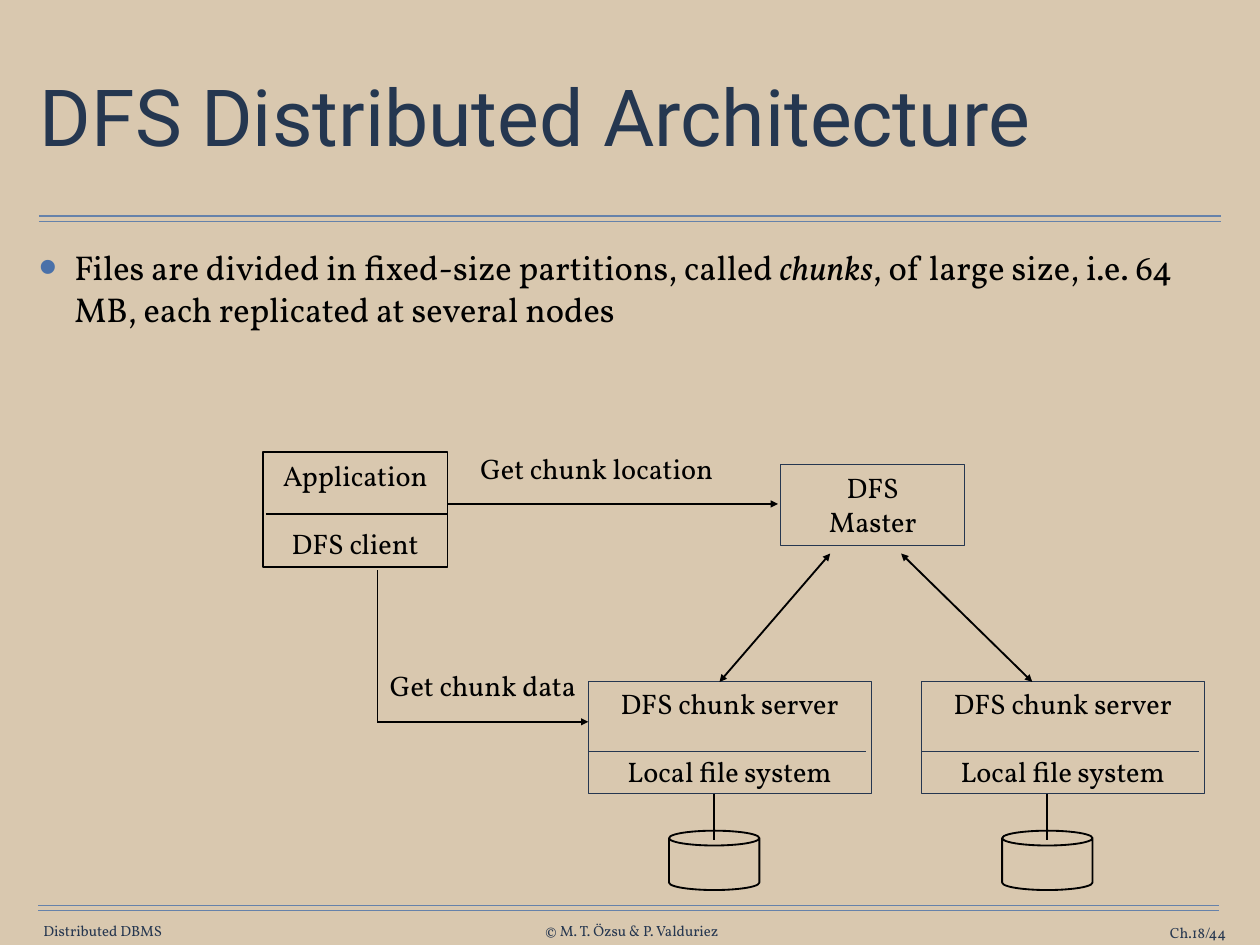
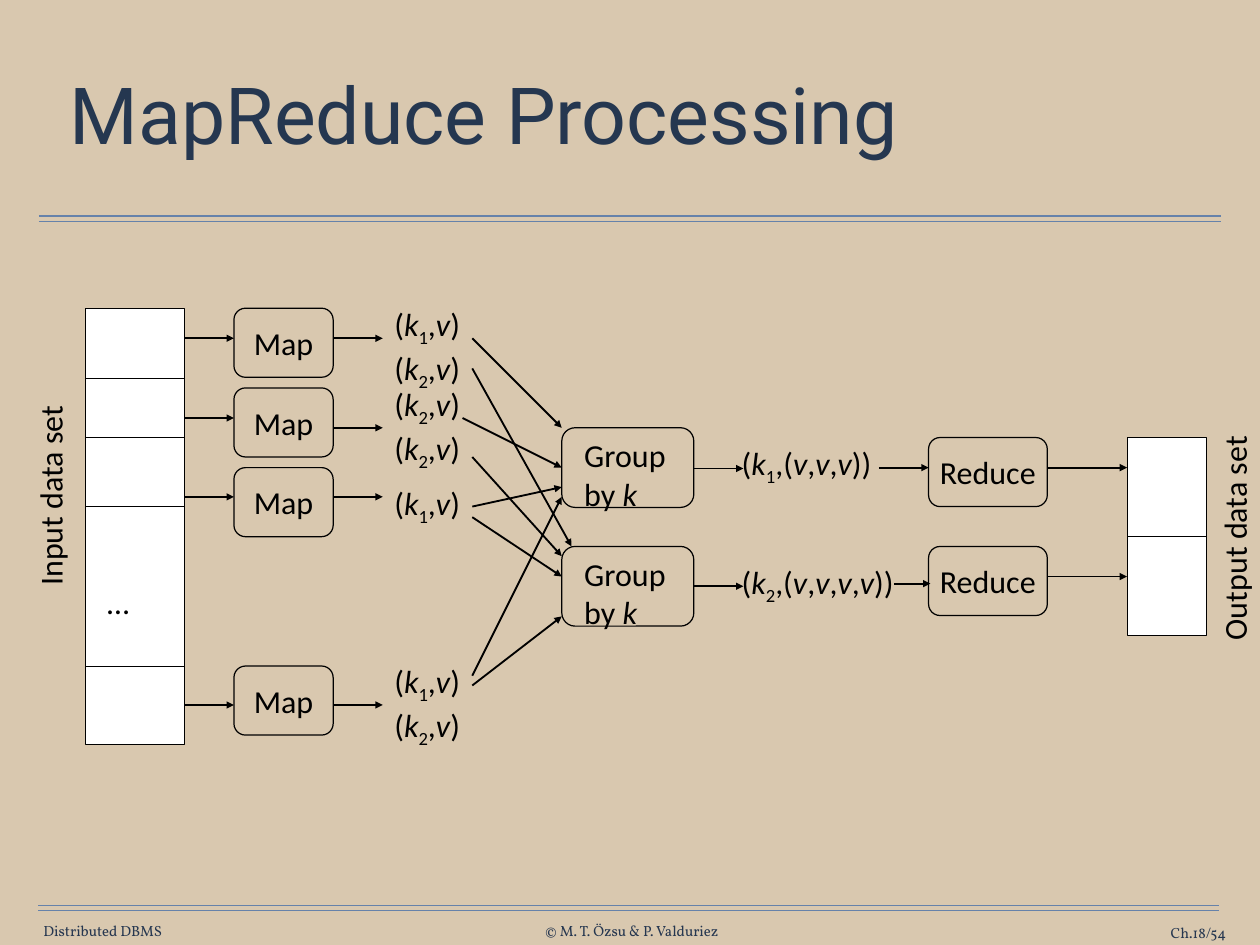
from lxml import etree
from pptx import Presentation
from pptx.dml.color import RGBColor
from pptx.enum.shapes import MSO_CONNECTOR, MSO_SHAPE as SHAPE
from pptx.enum.text import MSO_ANCHOR as ANCHOR, MSO_AUTO_SIZE, PP_ALIGN as ALIGN
from pptx.oxml.ns import qn
from pptx.util import Inches, Pt

COLORS = {"sand": "D9C8AF", "navy": "263750", "title": "253750", "rule": "6682AA",
          "bullet": "4A71A9", "black": "000000", "white": "FFFFFF"}
HEADING, SERIF, SANS = "Roboto", "Vollkorn", "Calibri"
TITLE_LAYOUTS = {"list": 1, "title only": 5}
WIDE, NORMAL, TIGHT, NONE = (0.14, 0.07), (0.1, 0.05), (0.06, 0.06), (0, 0)


def color(name):
    return RGBColor.from_string(COLORS[name])


def place(shape, left, top, width, height):
    shape.left, shape.top = Inches(left), Inches(top)
    shape.width, shape.height = Inches(width), Inches(height)


class Deck:
    def __init__(self):
        self.file = Presentation()
        self.file.slide_width, self.file.slide_height = Inches(14.22), Inches(10.67)
        background = self.file.slide_master.background.fill
        background.solid()
        background.fore_color.rgb = color("sand")
        self.slide = None
        self.font, self.size = SERIF, 23

    def start(self, layout, title, box, page, font, size):
        """Add a slide with its title, double rules and footer; set its text style."""
        layouts = self.file.slide_layouts
        self.slide = self.file.slides.add_slide(layouts[TITLE_LAYOUTS[layout]])
        self.font, self.size = font, size
        for left, right, top in ((0.44, 13.78, 2.44), (0.43, 13.76, 10.22)):
            for y in (top, top + 0.06):
                self.line((left, y), (right, y), "rule", 1)
        footer = dict(font=SERIF, size=12, ink="navy", anchor=ANCHOR.MIDDLE, inset=NONE)
        self.text((0.47, 10.41, 1.38, 0.2), "Distributed DBMS", align=ALIGN.CENTER, **footer)
        self.text((6.09, 10.41, 2.08, 0.2), "© M. T. Özsu & P. Valduriez",
                  align=ALIGN.CENTER, **footer)
        self.text((12.31, 10.43, 1.53, 0.2), f"Ch.18/{page}", align=ALIGN.RIGHT, **footer)
        heading = self.slide.shapes.title
        place(heading, *box)
        self.set_lines(heading, title, font=HEADING, size=64, ink="title",
                       anchor=ANCHOR.MIDDLE, inset=TIGHT, spacing=0.9, wrap=True)

    def set_lines(self, shape, text, font=None, size=None, ink="black", align=ALIGN.LEFT,
                  anchor=ANCHOR.TOP, inset=NORMAL, gap=0, spacing=1.0, wrap=False):
        """Fill a shape with lines of text, where *x* is italic and ~x~ is a subscript."""
        frame = shape.text_frame
        frame.word_wrap, frame.auto_size = wrap, MSO_AUTO_SIZE.NONE
        frame.vertical_anchor = anchor
        frame.margin_left = frame.margin_right = Inches(inset[0])
        frame.margin_top = frame.margin_bottom = Inches(inset[1])
        for index, line in enumerate(text.split("\n")):
            paragraph = frame.add_paragraph() if index else frame.paragraphs[0]
            paragraph.alignment, paragraph.line_spacing = align, spacing
            paragraph.space_before = Pt(gap if index else 0)
            for i, part in enumerate(line.split("*")):
                for j, piece in enumerate(part.split("~")):
                    if not piece:
                        continue
                    run = paragraph.add_run()
                    run.text = piece
                    run.font.name, run.font.size = font or self.font, Pt(size or self.size)
                    run.font.color.rgb = color(ink)
                    if i % 2:
                        run.font.italic = True
                    if j % 2:
                        run.font._element.set("baseline", "-25000")

    def text(self, box, text, turn=0, **style):
        label = self.slide.shapes.add_textbox(*map(Inches, box))
        label.rotation = turn
        self.set_lines(label, text, **{"inset": WIDE, **style})

    def bullet(self, box, text):
        body = self.slide.placeholders[1]
        place(body, *box)
        self.set_lines(body, text, size=28, inset=TIGHT, wrap=True)
        paragraph = body.text_frame.paragraphs[0]
        paragraph.space_before = Pt(12)
        props = paragraph._p.get_or_add_pPr()
        props.set("marL", str(Inches(0.4)))
        props.set("indent", str(Inches(-0.4)))
        tint = etree.SubElement(props, qn("a:buClr"))
        etree.SubElement(tint, qn("a:srgbClr"), val=COLORS["bullet"])
        etree.SubElement(props, qn("a:buSzPct"), val="150000")
        etree.SubElement(props, qn("a:buFont"), typeface="Arial")
        etree.SubElement(props, qn("a:buChar"), char="•")

    def box(self, kind, box, text="", fill=None, outline="black", width=1, **style):
        shape = self.slide.shapes.add_shape(kind, *map(Inches, box))
        shape.shadow.inherit = False
        if fill:
            shape.fill.solid()
            shape.fill.fore_color.rgb = color(fill)
        else:
            shape.fill.background()
        shape.line.color.rgb, shape.line.width = color(outline), Pt(width)
        if text:
            self.set_lines(shape, text, **style)

    def line(self, start, end, ink="black", width=1.5, ends=()):
        points = map(Inches, (*start, *end))
        link = self.slide.shapes.add_connector(MSO_CONNECTOR.STRAIGHT, *points)
        link.line.color.rgb, link.line.width = color(ink), Pt(width)
        for end_name in ends:
            etree.SubElement(link.line._get_or_add_ln(), qn(f"a:{end_name}"), type="triangle")
        etree.SubElement(link._element.spPr, qn("a:effectLst"))

    def arrow(self, start, end, both=False):
        self.line(start, end, ends=("headEnd", "tailEnd") if both else ("tailEnd",))


def architecture(deck):
    deck.start("list", "DFS Distributed Architecture", (0.39, 0.49, 13.44, 1.76), 44, SERIF, 23)
    deck.bullet((0.38, 2.72, 13.44, 1.11),
                "Files are divided in fixed-size partitions, called *chunks*, "
                "of large size, i.e. 64 MB, each replicated at several nodes")
    node = dict(fill="sand", align=ALIGN.CENTER, wrap=True)

    deck.box(SHAPE.RECTANGLE, (2.97, 5.1, 2.08, 1.3), "Application\nDFS client",
             width=1.5, inset=WIDE, gap=27.6, **node)
    deck.line((3, 5.8), (5.05, 5.8))
    deck.box(SHAPE.RECTANGLE, (8.81, 5.24, 2.08, 0.92), "DFS\nMaster",
             outline="navy", width=0.75, inset=WIDE, **node)

    for left in (6.64, 10.4):
        deck.box(SHAPE.RECTANGLE, (left, 7.7, 3.19, 1.26), "DFS chunk server\nLocal file system",
                 outline="navy", width=0.75, gap=27.6, **node)
        deck.line((left, 8.49), (left + 3.13, 8.49), "navy", 0.75)
        deck.box(SHAPE.CAN, (left + 0.91, 9.38, 1.02, 0.67), width=1.5)
        deck.line((left + 1.42, 8.96), (left + 1.42, 9.49))

    deck.arrow((5.05, 5.69), (8.78, 5.69))
    deck.text((5.28, 5.02, 2.98, 0.53), "Get chunk location")
    deck.line((4.26, 6.44), (4.26, 8.15))
    deck.arrow((4.26, 8.15), (6.64, 8.15))
    deck.text((4.26, 7.48, 2.45, 0.53), "Get chunk data")
    deck.arrow((9.37, 6.25), (8.12, 7.7), both=True)
    deck.arrow((10.17, 6.25), (11.65, 7.7), both=True)


def map_reduce(deck):
    deck.start("title only", "MapReduce Processing", (0.73, 0.45, 12.91, 1.78), 54, SANS, 26)
    centred = dict(align=ALIGN.CENTER, anchor=ANCHOR.MIDDLE)

    deck.box(SHAPE.RECTANGLE, (0.96, 3.48, 1.12, 4.93), fill="white", width=0.75)
    for y in (4.27, 4.94, 5.72, 7.52):
        deck.line((0.96, y), (2.08, y), width=0.75)
    deck.text((1.07, 6.51, 0.54, 0.58), "…")
    deck.text((-0.61, 5.29, 2.35, 0.58), "Input data set", turn=270)

    # map top, arrow in, arrow out, pairs top, keys emitted
    mappers = ((3.48, 3.82, 3.82, 3.37, (1, 2)), (4.38, 4.72, 4.83, 4.27, (2, 2)),
               (5.28, 5.61, 5.61, 5.39, (1,)), (7.52, 7.96, 7.96, 7.4, (1, 2)))
    for top, y_in, y_out, pairs_top, keys in mappers:
        deck.box(SHAPE.ROUNDED_RECTANGLE, (2.64, top, 1.12, 0.78), "Map", **centred)
        deck.arrow((2.08, y_in), (2.64, y_in))
        deck.arrow((3.76, y_out), (4.32, y_out))
        pairs = "\n".join(f"(*k*~{key}~,*v*)" for key in keys)
        deck.text((4.31, pairs_top, 1.05, 0.14 + 0.44 * len(keys)), pairs)

    shuffle = (((5.33, 3.82), (6.34, 4.83)), ((5.33, 4.16), (6.45, 6.17)),
               ((5.22, 4.72), (6.34, 5.28)), ((5.33, 5.16), (6.34, 6.28)),
               ((5.33, 5.72), (6.34, 5.5)), ((5.33, 5.84), (6.34, 6.51)),
               ((5.33, 7.63), (6.34, 5.61)), ((5.33, 7.74), (6.34, 6.96)))
    for start, end in shuffle:
        deck.arrow(start, end)

    deck.box(SHAPE.RECTANGLE, (12.72, 4.94, 0.9, 2.24), fill="white", width=0.75)
    deck.line((12.72, 6.06), (13.62, 6.06), width=0.75)
    deck.text((12.62, 5.77, 2.62, 0.58), "Output data set", turn=270)

    # key, value count, group top, reduce top, group arrow y, list box, reduce arrow ends
    reducers = ((1, 3, 4.83, 4.94, 5.29, (8.23, 4.94, 1.75, 0.58), (9.92, 5.28), (10.48, 5.28)),
                (2, 4, 6.17, 6.17, 6.62, (8.23, 6.28, 2.04, 0.58), (10.09, 6.59), (10.5, 6.59)))
    for key, count, group_top, reduce_top, y, list_box, start, end in reducers:
        deck.box(SHAPE.ROUNDED_RECTANGLE, (6.34, group_top, 1.49, 0.9), "Group\nby *k*",
                 inset=(0.21, 0.05), wrap=True)
        deck.arrow((7.83, y), (8.39, y))
        values = ",".join(["*v*"] * count)
        deck.text(list_box, f"(*k*~{key}~,({values}))")
        deck.arrow(start, end)
        deck.box(SHAPE.ROUNDED_RECTANGLE, (10.48, reduce_top, 1.34, 0.78), "Reduce", **centred)
        deck.arrow((11.82, reduce_top + 0.34), (12.72, reduce_top + 0.34))


def main():
    deck = Deck()
    architecture(deck)
    map_reduce(deck)
    deck.file.save("out.pptx")


if __name__ == "__main__":
    main()
